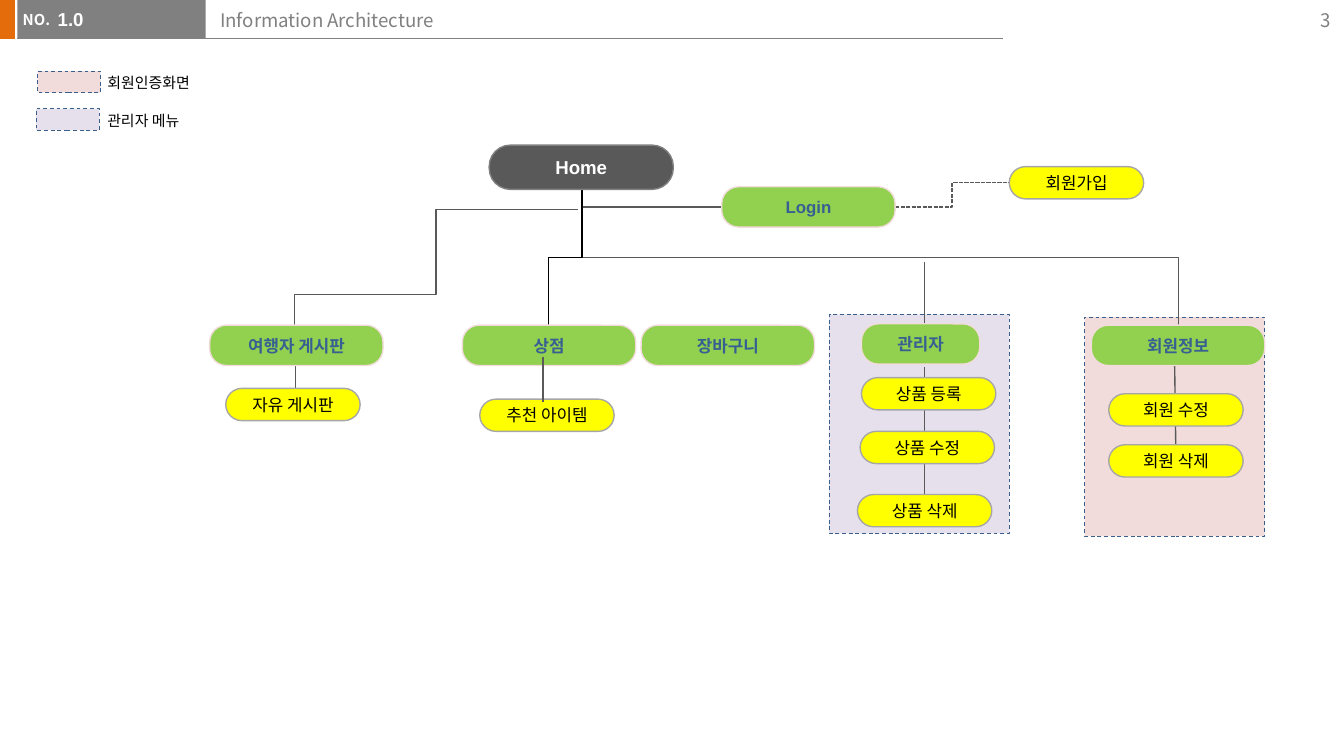
from pptx import Presentation
from pptx.dml.color import RGBColor
from pptx.enum.dml import MSO_LINE_DASH_STYLE as Dash
from pptx.enum.shapes import MSO_CONNECTOR as Link, MSO_SHAPE as Shape
from pptx.enum.text import MSO_ANCHOR as Anchor, PP_ALIGN as Align
from pptx.oxml.ns import qn
from pptx.util import Inches, Pt
from lxml.etree import SubElement

THEME = {
    "sans": "Arial", "korean": "Noto Sans CJK KR",
    "white": "FFFFFF", "black": "000000", "gray": "808080", "orange": "E46C0A",
    "member": "F2DCDB", "admin": "E6E0EC", "frame": "3A5F8C", "link": "595959",
    "silver": "A6A6A6", "green": "92D050", "yellow": "FFFF00", "navy": "376092",
    "title": 10, "body": 9, "small": 8, "hairline": 0.5, "stroke": 0.75,
}
NODE_STYLES = {
    "home": dict(height=0.33, round=0.479, fill="link", line="gray", size="title", color="white", bold=True),
    "menu": dict(height=0.3, round=0.417, fill="green", line="member", size="body", color="navy", bold=True),
    "page": dict(height=0.24, round=0.5, fill="yellow", line="silver", size="body", color="black", bold=False),
}
PAGE_SIZE = (10, 10 * 9 / 16)
MENU_WIDTH, PAGE_WIDTH, MENU_TOP = 1.29, 1, 2.42

HEADER_BARS = [("orange", -0.01, 0.12), ("gray", 0.13, 1.4)]
HEADER_TEXTS = [
    ("NO.", (0.07, 0.03, 0.41, 0.24), dict(size="small", color="white", bold=True, wrap=False)),
    ("Information Architecture", (1.54, 0.02, 5.91, 0.32), dict(size="title", color="gray")),
    ("1.0", (0.43, 0.01, 1.1, 0.31),
     dict(size="title", color="white", bold=True, font="sans", inset=0, before=2)),
    ("3", (9.4, 0, 0.6, 0.3),
     dict(size="title", color="gray", align=Align.RIGHT, anchor=Anchor.MIDDLE)),
]
PANELS = [("admin", 6.17, 2.34), ("member", 8.07, 2.36)]
LEGEND = [("회원인증화면", "member", 0.28, 0.53, 0.88), ("관리자 메뉴", "admin", 0.27, 0.81, 0.8)]
NODES = [
    ("Home", "home", 3.64, 1.08, 1.37),
    ("Login", "menu", 5.37, 1.39, MENU_WIDTH),
    ("회원가입", "page", 7.51, 1.24, PAGE_WIDTH),
    ("여행자 게시판", "menu", 1.56, MENU_TOP, MENU_WIDTH),
    ("자유 게시판", "page", 1.68, 2.89, PAGE_WIDTH),
    ("상점", "menu", 3.44, MENU_TOP, MENU_WIDTH),
    ("추천 아이템", "page", 3.57, 2.97, PAGE_WIDTH),
    ("장바구니", "menu", 4.77, MENU_TOP, MENU_WIDTH),
    ("관리자", "menu", 6.41, 2.41, 0.88),
    ("상품 등록", "page", 6.41, 2.81, PAGE_WIDTH),
    ("상품 수정", "page", 6.4, 3.21, PAGE_WIDTH),
    ("상품 삭제", "page", 6.38, 3.68, PAGE_WIDTH),
    ("회원정보", "menu", 8.12, MENU_TOP, MENU_WIDTH),
    ("회원 수정", "page", 8.25, 2.93, PAGE_WIDTH),
    ("회원 삭제", "page", 8.25, 3.31, PAGE_WIDTH),
]
STRAIGHT_LINKS = [
    ((8.74, 2.7), (8.75, 3.44)), ((6.88, 1.95), (6.88, 2.54)), ((6.88, 2.73), (6.88, 3.68)),
    ((2.2, 2.69), (2.2, 3.02)), ((2.19, 2.19), (2.19, 2.62)),
]
SHOP_LINK = ((4.04, 2.66), (4.04, 2.99))
SIDE_LINKS = [((6.66, 1.54), (7.51, 1.36), Dash.SQUARE_DOT), ((4.3, 1.56), (2.19, 2.19), None)]
HOME_FOOT = (4.33, 1.41)
HOME_LINKS = [
    ((5.37, 1.54), "bentConnector2", "link"),
    ((8.77, MENU_TOP), "bentConnector3", "link"),
    ((4.08, MENU_TOP), "bentConnector3", "black"),
]


def rgb(name):
    return RGBColor.from_string(THEME[name])


def write(shape, text, size, color, bold=False, font="korean", align=Align.LEFT,
          anchor=Anchor.TOP, before=0, wrap=True):
    frame = shape.text_frame
    frame.word_wrap, frame.vertical_anchor = wrap, anchor
    para = frame.paragraphs[0]
    para.alignment, para.space_before = align, Pt(before)
    span = para.add_run()
    span.text = text
    span.font.size, span.font.bold = Pt(THEME[size]), bold
    span.font.name, span.font.color.rgb = THEME[font], rgb(color)
    SubElement(span.font._element, qn("a:ea")).set("typeface", THEME["korean"])


def add_text(page, text, bounds, inset=0.1, **style):
    box = page.shapes.add_textbox(*map(Inches, bounds))
    box.text_frame.margin_left = box.text_frame.margin_right = Inches(inset)
    write(box, text, **style)


def add_box(page, bounds, fill, line=None, width="stroke", kind=Shape.RECTANGLE, dash=None):
    box = page.shapes.add_shape(kind, *map(Inches, bounds))
    box.shadow.inherit = False
    box.fill.solid()
    box.fill.fore_color.rgb = rgb(fill)
    if line:
        box.line.color.rgb, box.line.width = rgb(line), Pt(THEME[width])
        box.line.dash_style = dash
    else:
        box.line.fill.background()
    return box


def add_zone(page, bounds, fill):
    add_box(page, bounds, fill, "frame", "hairline", dash=Dash.DASH)


def add_node(page, text, kind, left, top, width):
    style = NODE_STYLES[kind]
    node = add_box(page, (left, top, width, style["height"]), style["fill"], style["line"],
                   kind=Shape.ROUNDED_RECTANGLE)
    node.adjustments[0] = style["round"]
    frame = node.text_frame
    frame.margin_left = frame.margin_right = frame.margin_top = frame.margin_bottom = Inches(0.02)
    write(node, text, style["size"], style["color"], style["bold"], "sans",
          Align.CENTER, Anchor.MIDDLE, before=1)


def add_link(page, start, end, color="link", width="stroke", kind=Link.STRAIGHT, dash=None):
    link = page.shapes.add_connector(kind, *map(Inches, start + end))
    link.line.color.rgb, link.line.width = rgb(color), Pt(THEME[width])
    link.line.dash_style = dash
    SubElement(link._element.spPr, qn("a:effectLst"))
    return link


def add_drop_link(page, start, end, preset, color):
    """Add an elbow that leaves its start downwards, by a quarter turn."""
    (x1, y1), (x2, y2) = start, end
    run, drop = abs(x2 - x1), y2 - y1
    left, top = (x1 + x2 - drop) / 2, (y1 + y2 - run) / 2
    link = add_link(page, (left, top), (left + drop, top + run), color, kind=Link.ELBOW)
    link._element.spPr.find(qn("a:prstGeom")).set("prst", preset)
    turn = link._element.spPr.find(qn("a:xfrm"))
    turn.set("rot", str(90 * 60000))
    if x2 > x1:
        turn.set("flipV", "1")


def main():
    deck = Presentation()
    deck.slide_width, deck.slide_height = map(Inches, PAGE_SIZE)
    page = deck.slides.add_slide(deck.slide_layouts[6])

    add_link(page, (0.13, 0.29), (7.46, 0.29), "gray", "hairline")
    for fill, left, width in HEADER_BARS:
        add_box(page, (left, 0, width, 0.29), fill)
    for text, bounds, style in HEADER_TEXTS:
        add_text(page, text, bounds, **style)

    for fill, left, top in PANELS:
        add_zone(page, (left, top, 1.34, 1.63), fill)
    for text, fill, left, top, width in LEGEND:
        add_zone(page, (left, top, 0.47, 0.16), fill)
        add_text(page, text, (0.7, top - 0.03, width, 0.24), size="small", color="black", wrap=False)

    for start, end in STRAIGHT_LINKS:
        add_link(page, start, end)
    for start, end, dash in SIDE_LINKS:
        add_link(page, start, end, kind=Link.ELBOW, dash=dash)
    for end, preset, color in HOME_LINKS:
        add_drop_link(page, HOME_FOOT, end, preset, color)
    for node in NODES:
        add_node(page, *node)
    add_link(page, *SHOP_LINK)

    deck.save("out.pptx")


if __name__ == "__main__":
    main()
